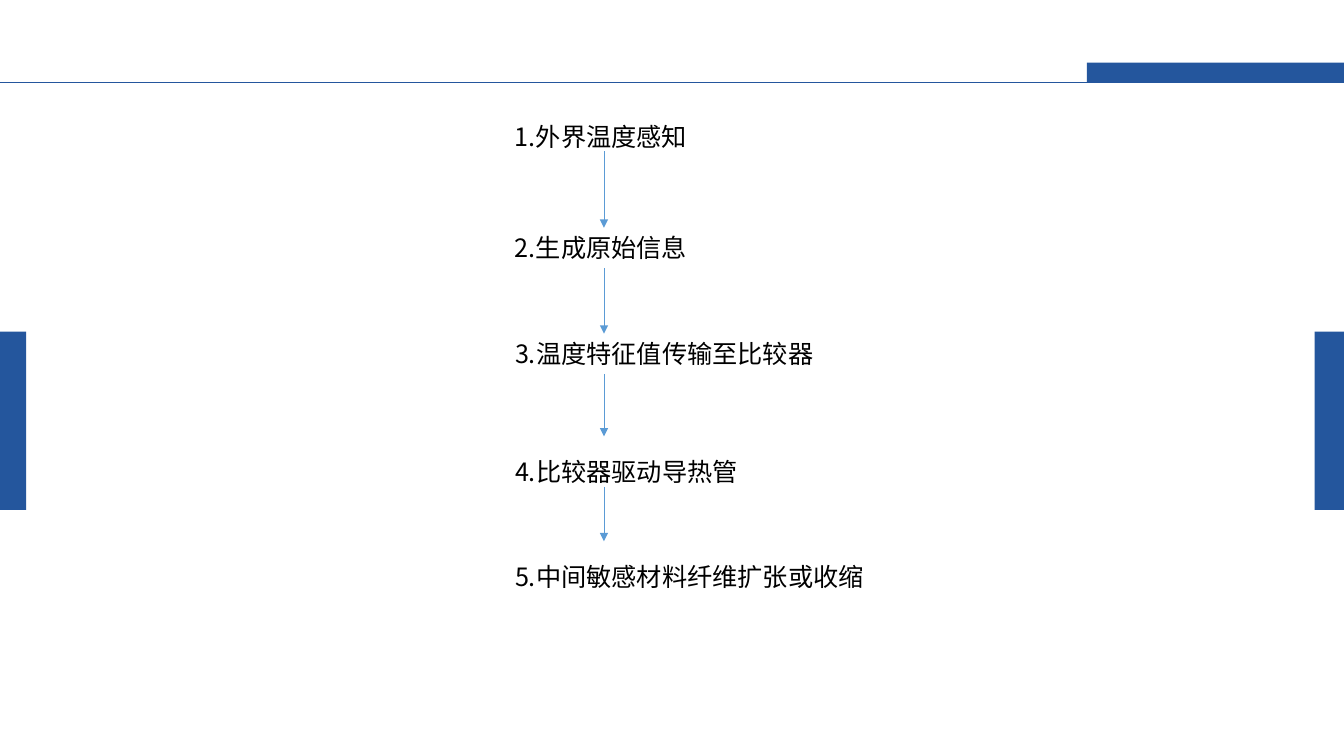
from dataclasses import dataclass
from pptx import Presentation
from pptx import util as u
from pptx.dml.color import RGBColor
from pptx.enum import shapes, text
from pptx.oxml import ns
from pptx.oxml.xmlchemy import OxmlElement

NAVY = "24569D"
SKY = "5B9BD5"
FONT = "Noto Sans CJK SC"
STEP_LEFT = 37.58
ARROW_X = 44.94
HEADER_RULE_Y = 10.93


@dataclass
class Band:
    left: float
    top: float
    width: float
    height: float


@dataclass
class Step:
    wording: str
    top: float
    height: float
    spacing: float

    @property
    def width(self) -> float:
        return 3.38 + 1.9 * (len(self.wording) - 2)

    @property
    def bottom(self) -> float:
        return self.top + self.height


BANDS = [
    Band(80.87, 8.27, 19.13, 2.67),
    Band(-0.23, 43.87, 2.18, 23.6),
    Band(97.82, 43.87, 2.18, 23.6),
]
STEPS = [
    Step("1.外界温度感知", 13.33, 6.67, 1.5),
    Step("2.生成原始信息", 30.13, 5.33, 1.0),
    Step("3.温度特征值传输至比较器", 44.13, 5.33, 1.0),
    Step("4.比较器驱动导热管", 57.73, 6.67, 1.5),
    Step("5.中间敏感材料纤维扩张或收缩", 71.6, 6.67, 1.5),
]

deck = Presentation()
deck.slide_width = u.Inches(13.33)
deck.slide_height = u.Inches(7.5)
slide = deck.slides.add_slide(deck.slide_layouts[6])


def across(percent: float) -> int:
    return round(deck.slide_width * percent / 100)


def down(percent: float) -> int:
    return round(deck.slide_height * percent / 100)


def colour(hex_code: str) -> RGBColor:
    return RGBColor.from_string(hex_code)


def draw_band(band: Band) -> None:
    bar = slide.shapes.add_shape(
        shapes.MSO_SHAPE.RECTANGLE, across(band.left), down(band.top),
        across(band.width), down(band.height))
    bar.shadow.inherit = False
    bar.fill.solid()
    bar.fill.fore_color.rgb = colour(NAVY)
    bar.line.fill.background()


def draw_line(x1: float, y1: float, x2: float, y2: float, *,
              hex_code: str, arrow: bool = False) -> None:
    rule = slide.shapes.add_connector(
        shapes.MSO_CONNECTOR.STRAIGHT,
        across(x1), down(y1), across(x2), down(y2))
    rule.line.color.rgb = colour(hex_code)
    rule.line.width = u.Pt(0.5)
    if arrow:
        head = OxmlElement("a:tailEnd")
        head.set("type", "triangle")
        rule.line._get_or_add_ln().append(head)
    rule._element.spPr.append(OxmlElement("a:effectLst"))


def write(wording: str, *, left: float, top: float, width: float,
          height: float, spacing: float, size: float = 18,
          hex_code: str = "000000") -> None:
    label = slide.shapes.add_textbox(
        across(left), down(top), across(width), down(height))
    frame = label.text_frame
    frame.word_wrap = False
    frame.auto_size = text.MSO_AUTO_SIZE.SHAPE_TO_FIT_TEXT
    line = frame.paragraphs[0]
    line.alignment = text.PP_ALIGN.JUSTIFY
    line.line_spacing = spacing
    words = line.add_run()
    words.text = wording
    words.font.size = u.Pt(size)
    words.font.name = FONT
    words.font.color.rgb = colour(hex_code)
    east_asian = OxmlElement("a:ea")
    east_asian.set("typeface", FONT)
    words.font._element.find(ns.qn("a:latin")).addnext(east_asian)


def main() -> None:
    for band in BANDS:
        draw_band(band)
    draw_line(0, HEADER_RULE_Y, 100, HEADER_RULE_Y, hex_code=NAVY)
    for step in STEPS:
        write(step.wording, left=STEP_LEFT, top=step.top, width=step.width,
              height=step.height, spacing=step.spacing)
    for step, following in zip(STEPS, STEPS[1:]):
        draw_line(ARROW_X, step.bottom, ARROW_X, following.top,
                  hex_code=SKY, arrow=True)
    deck.save("out.pptx")


if __name__ == "__main__":
    main()
